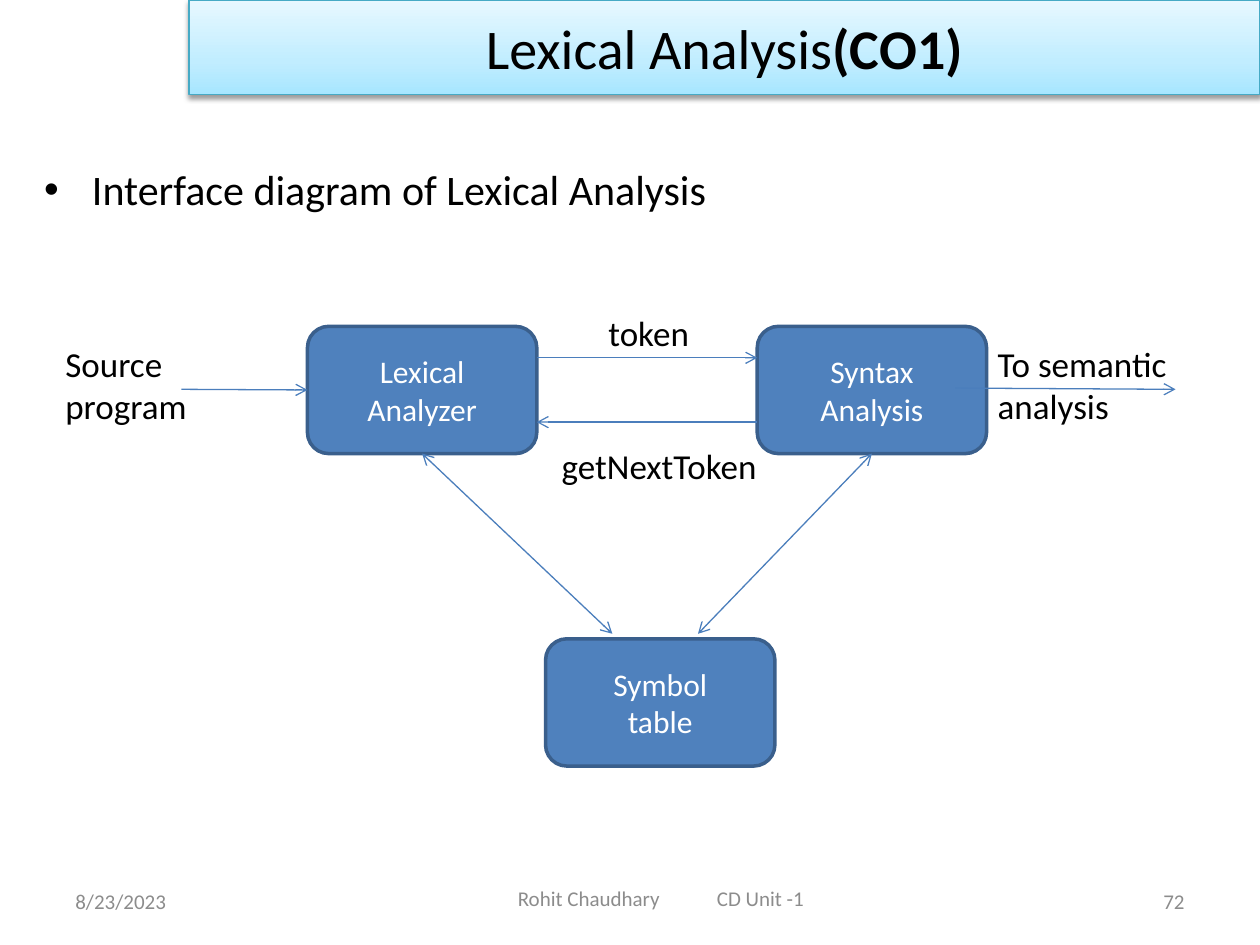
from copy import deepcopy

from lxml.etree import SubElement
from pptx import Presentation
from pptx.dml.color import RGBColor
from pptx.enum.shapes import MSO_CONNECTOR, MSO_SHAPE
from pptx.enum.text import MSO_ANCHOR, PP_ALIGN
from pptx.oxml.ns import qn
from pptx.util import Inches, Pt

BLACK = RGBColor(0, 0, 0)
WHITE = RGBColor(255, 255, 255)
GRAY = RGBColor(0x8C, 0x8C, 0x8C)
BOX_FILL = RGBColor(0x4F, 0x81, 0xBD)
BOX_LINE = RGBColor(0x3A, 0x5F, 0x8C)
ARROW = RGBColor(0x4B, 0x7E, 0xBC)
TITLE_LINE = RGBColor(0x46, 0xAA, 0xC5)
TITLE_STOPS = [
    (0, RGBColor(0xA7, 0xE6, 0xFF)),
    (0.35, RGBColor(0xC1, 0xED, 0xFF)),
    (1, RGBColor(0xE7, 0xF8, 0xFF)),
]


def write_text(shape, text, size, color, alignment=PP_ALIGN.LEFT, anchor=MSO_ANCHOR.TOP, wrap=True):
    frame = shape.text_frame
    frame.text = text
    frame.word_wrap = wrap
    frame.vertical_anchor = anchor
    font_format = {"name": "Calibri", "size": Pt(size)}
    for paragraph in frame.paragraphs:
        paragraph.alignment = alignment
        for run in paragraph.runs:
            run.font.color.rgb = color
            for attribute, value in font_format.items():
                setattr(run.font, attribute, value)


def place(shape, left, top, width, height):
    bounds = {"left": left, "top": top, "width": width, "height": height}
    for attribute, value in bounds.items():
        setattr(shape, attribute, Inches(value))


presentation = Presentation()
presentation.slide_width = Inches(10)
presentation.slide_height = Inches(7.5)
slide = presentation.slides.add_slide(presentation.slide_layouts[1])
shapes = slide.shapes

title = shapes.title
place(title, 1.5, 0, 8.5, 0.75)
write_text(title, "Lexical Analysis", 32, BLACK, PP_ALIGN.CENTER, MSO_ANCHOR.MIDDLE)
course_outcome = title.text_frame.paragraphs[0].add_run()
course_outcome.text = "(CO1)"
title_font = {"name": "Calibri", "size": Pt(32), "bold": True}
for attribute, value in title_font.items():
    setattr(course_outcome.font, attribute, value)
course_outcome.font.color.rgb = BLACK

title.fill.gradient()
title.fill.gradient_angle = 90
stop_list = title._element.spPr.find(qn("a:gradFill")).find(qn("a:gsLst"))
stop_list.insert(1, deepcopy(stop_list[0]))
for stop, (position, color) in zip(title.fill.gradient_stops, TITLE_STOPS):
    stop.position = position
    stop.color.rgb = color
title.line.color.rgb = TITLE_LINE
title.line.width = Pt(0.75)
effects = SubElement(title._element.spPr, qn("a:effectLst"))
shadow = SubElement(effects, qn("a:outerShdw"), blurRad=str(Pt(3.1)), dist=str(Pt(1.6)),
                    dir="5400000", rotWithShape="0")
shadow_color = SubElement(shadow, qn("a:srgbClr"), val="000000")
SubElement(shadow_color, qn("a:alpha"), val="38000")

body = slide.placeholders[1]
place(body, 0.25, 1.25, 9.33, 4.95)
write_text(body, "Interface diagram of Lexical Analysis", 24, BLACK)
bullet_paragraph = body.text_frame.paragraphs[0]
bullet_paragraph.space_before = Pt(0)
bullet_properties = bullet_paragraph._p.get_or_add_pPr()
bullet_properties.set("marL", str(Inches(0.38)))
bullet_properties.set("indent", str(Inches(-0.38)))
SubElement(bullet_properties, qn("a:buChar"), char="•")

boxes = {}
for name, text, left, top in [
    ("lexical", "Lexical Analyzer", 2.44, 2.59),
    ("syntax", "Syntax Analysis", 6.01, 2.59),
    ("symbols", "Symbol\ntable", 4.33, 5.07),
]:
    box = shapes.add_shape(MSO_SHAPE.ROUNDED_RECTANGLE, Inches(left), Inches(top), Inches(1.82), Inches(1.01))
    box.shadow.inherit = False
    box.fill.solid()
    box.fill.fore_color.rgb = BOX_FILL
    box.line.color.rgb = BOX_LINE
    box.line.width = Pt(2)
    write_text(box, text, 18, WHITE, PP_ALIGN.CENTER, MSO_ANCHOR.MIDDLE)
    boxes[name] = box

for text, left, top, width, height in [
    ("Source\nprogram", 0.42, 2.67, 1.17, 0.77),
    ("token", 4.73, 2.42, 0.85, 0.44),
    ("getNextToken", 4.36, 3.48, 1.76, 0.44),
    ("To semantic\nanalysis", 7.82, 2.67, 1.56, 0.77),
]:
    label = shapes.add_textbox(Inches(left), Inches(top), Inches(width), Inches(height))
    write_text(label, text, 20, BLACK, wrap=False)

for start, end, begin_join, end_join, arrow_ends in [
    ((1.44, 3.09), (2.44, 3.09), None, ("lexical", 1), ["tailEnd"]),
    ((4.26, 2.84), (6.01, 2.84), None, None, ["tailEnd"]),
    ((6.01, 3.35), (4.26, 3.35), None, None, ["tailEnd"]),
    ((3.35, 3.6), (4.86, 5.03), ("lexical", 2), None, ["headEnd", "tailEnd"]),
    ((6.92, 3.6), (5.54, 5.03), ("syntax", 2), None, ["headEnd", "tailEnd"]),
    ((7.58, 3.08), (9.33, 3.09), None, None, ["tailEnd"]),
]:
    connector = shapes.add_connector(MSO_CONNECTOR.STRAIGHT, *map(Inches, start + end))
    if begin_join:
        connector.begin_connect(boxes[begin_join[0]], begin_join[1])
    if end_join:
        connector.end_connect(boxes[end_join[0]], end_join[1])
    connector.line.color.rgb = ARROW
    connector.line.width = Pt(0.75)
    line_properties = connector.line._get_or_add_ln()
    for arrow_end in arrow_ends:
        SubElement(line_properties, qn("a:" + arrow_end), type="arrow")
    SubElement(connector._element.spPr, qn("a:effectLst"))

for text, left, top, width, alignment in [
    ("8/23/2023", 0.5, 6.95, 2.33, PP_ALIGN.LEFT),
    ("72", 7.17, 6.95, 2.33, PP_ALIGN.RIGHT),
    ("Rohit Chaudhary\tCD Unit -1", 2.5, 6.93, 5.5, PP_ALIGN.LEFT),
]:
    footer = shapes.add_textbox(Inches(left), Inches(top), Inches(width), Inches(0.4))
    write_text(footer, text, 12, GRAY, alignment, MSO_ANCHOR.MIDDLE)

footer.text_frame.margin_left = Inches(1.61)
footer_properties = footer.text_frame.paragraphs[0]._p.get_or_add_pPr()
tab_list = SubElement(footer_properties, qn("a:tabLst"))
SubElement(tab_list, qn("a:tab"), pos=str(Inches(1.58)), algn="l")

presentation.save("out.pptx")
